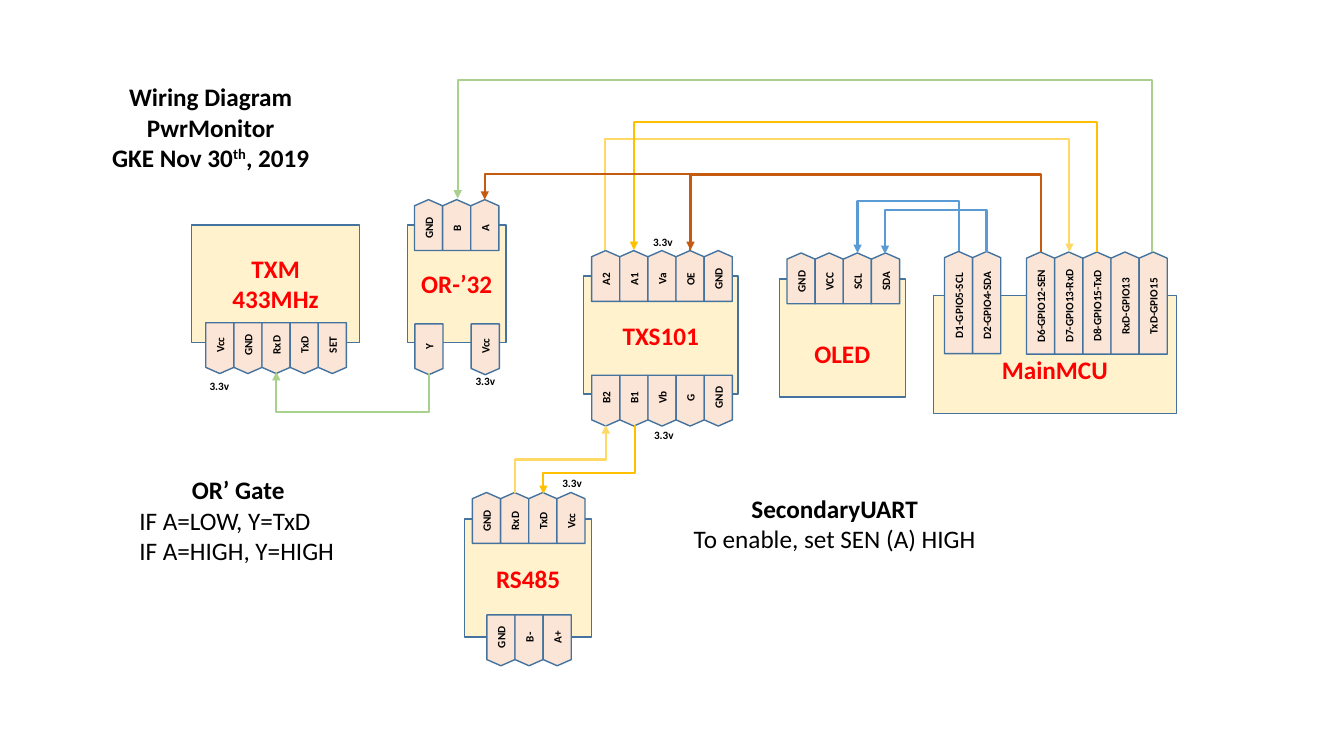
from dataclasses import dataclass

from lxml.etree import SubElement
from pptx import Presentation
from pptx.dml.color import RGBColor as Rgb
from pptx.enum.shapes import MSO_CONNECTOR as Link, MSO_SHAPE as Kind
from pptx.enum.text import MSO_ANCHOR as Anchor, MSO_AUTO_SIZE as Fit, PP_ALIGN as Align
from pptx.oxml.ns import qn
from pptx.util import Pt

EDGE, CREAM, PEACH, RED, BLACK = "43739E", "FFF2CC", "FBE5D6", "FF0000", "000000"
BLUE, GOLD, AMBER, RUST, GREEN = "5B9BD5", "FFD966", "FFC000", "C55A11", "A9D18E"
PITCH = 20.1
SIDES = {"c": Align.CENTER, "l": Align.LEFT}


@dataclass
class Board:
    """A module: its name, its place and the height its name is lowered by."""
    name: str
    x: float
    y: float
    wide: float
    drop: float = 0


@dataclass
class Row:
    """A row of pins, given by the centre of the first pin and the top."""
    x: float
    y: float
    pins: str
    up: bool = True
    tall: float = 36.3


@dataclass
class Wire:
    """A wire that runs up or down to a level, across, and back."""
    x1: float
    y1: float
    x2: float
    y2: float
    level: float
    hue: str
    end: str = "head"


@dataclass
class Note:
    """Free text; the first lines are bold, and ^ encloses superscript."""
    text: str
    x: float
    y: float
    wide: float
    tall: float
    size: float = 18
    bold: int = 1
    sides: str = "c"


BOARDS = [
    Board("MainMCU", 666.7, 211, 173.5, 22),
    Board("OLED", 556.6, 199.4, 90, 22),
    Board("TXS101", 416.9, 197.3, 110.2),
    Board("RS485", 331.9, 370.8, 90.7),
    Board("OR-’32", 290.9, 160.6, 70.6),
    Board("TXM\n433MHz", 136.8, 160.6, 120.2),
]
ROWS = [
    Row(684.7, 179.6, "D1-GPIO5-SCL D2-GPIO4-SDA", tall=73),
    Row(743.3, 180, "D6-GPIO12-SEN D7-GPIO13-RxD D8-GPIO15-TxD RxD-GPIO13 TxD-GPIO15", tall=73),
    Row(572.2, 180.7, "GND VCC SCL SDA"),
    Row(432.6, 179, "A2 A1 Va OE GND"),
    Row(432.7, 268, "B2 B1 Vb G GND", False),
    Row(347.5, 351.8, "GND RxD TxD Vcc"),
    Row(357.8, 439.2, "GND B- A+", False),
    Row(306.1, 142.6, "GND B A"),
    Row(306.4, 231.3, "Y _ Vcc", False),
    Row(157, 230.5, "Vcc GND RxD TxD SET", False),
]
WIRES = [
    Wire(612.5, 180.7, 684.7, 179.3, 143.3, BLUE),
    Wire(632.2, 181.4, 704.7, 180, 149.8, BLUE),
    Wire(432.3, 178.6, 763.9, 180, 98.6, GOLD, "tail"),
    Wire(452.8, 178.6, 783.4, 180, 86.4, AMBER),
    Wire(493.2, 178.6, 743.7, 180, 124.2, RUST),
    Wire(367.9, 352, 432.7, 303.8, 328.3, GOLD, "tail"),
    Wire(388.1, 352.8, 453.6, 303.8, 337.7, AMBER),
    Wire(326.9, 141.8, 823.1, 180, 56.9, GREEN),
    Wire(346.3, 142.6, 493.2, 178.6, 124.2, RUST),
    Wire(197.3, 265.7, 306.7, 266.4, 293.8, GREEN),
]
TITLE = Note("Wiring Diagram\nPwrMonitor\nGKE Nov 30^th^, 2019", 71.3, 54.7, 158.4, 72.7, bold=3)
NOTES = [
    Note("OR’ Gate\nIF A=LOW, Y=TxD\nIF A=HIGH, Y=HIGH", 92.4, 335.5, 155.5, 72.7, sides="cll"),
    Note("SecondaryUART\nTo enable, set SEN (A) HIGH", 487.1, 348.5, 218.2, 51.1),
] + [
    Note("3.3v", x, y, 28.8, 17.3, size=8, sides="l")
    for x, y in [(459.4, 164.9), (460.1, 302.4), (394.6, 337), (332.6, 264.2), (142.6, 267.1)]
]


def tint(code: str) -> Rgb:
    """Turn a hex string into a colour."""
    return Rgb.from_string(code)


def write(shape, text: str, size: float = 18, hue: str = BLACK, bold: int = 9,
          sides: str = "c", anchor=Anchor.MIDDLE) -> None:
    """Fill a shape with formatted lines."""
    frame = shape.text_frame
    frame.auto_size, frame.word_wrap = Fit.NONE, False
    frame.vertical_anchor = anchor
    for i, line in enumerate(text.split("\n")):
        para = frame.add_paragraph() if i else frame.paragraphs[0]
        para.alignment = SIDES[sides[min(i, len(sides) - 1)]]
        for j, part in enumerate(line.split("^")):
            run = para.add_run()
            run.text = part
            font = run.font
            font.name, font.size, font.bold = "Calibri", Pt(size), i < bold
            font.color.rgb = tint(hue)
            if j % 2:
                font._element.set("baseline", "30000")


def block(shapes, kind, x: float, y: float, wide: float, tall: float, hue: str):
    """Add a filled and outlined shape."""
    shape = shapes.add_shape(kind, Pt(x), Pt(y), Pt(wide), Pt(tall))
    shape.shadow.inherit = False
    shape.fill.solid()
    shape.fill.fore_color.rgb = tint(hue)
    shape.line.color.rgb = tint(EDGE)
    shape.line.width = Pt(1)
    return shape


def draw_board(shapes, board: Board) -> None:
    """Draw a module with its name."""
    shape = block(shapes, Kind.RECTANGLE, board.x, board.y, board.wide, 84.2, CREAM)
    shape.text_frame.margin_top = Pt(3.6 + board.drop)
    write(shape, board.name, hue=RED)


def draw_row(shapes, row: Row) -> None:
    """Draw a row of pins, leaving a gap for each underscore."""
    for i, name in enumerate(row.pins.split()):
        if name == "_":
            continue
        left = row.x + i * PITCH - row.tall / 2
        top = row.y + (row.tall - PITCH) / 2
        pin = block(shapes, Kind.RIGHT_ARROW, left, top, row.tall, PITCH, PEACH)
        pin.adjustments[0], pin.adjustments[1] = 1, 0.22
        pin.rotation = 270 if row.up else 90
        if not row.up:
            pin._element.spPr.xfrm.set("flipV", "1")
        frame = pin.text_frame
        frame.margin_left = frame.margin_right = frame.margin_top = frame.margin_bottom = 0
        write(pin, name, size=8)


def draw_wire(shapes, wire: Wire) -> None:
    """Draw an elbow turned so that it leaves its pin vertically."""
    rise = wire.y2 - wire.y1
    midx, midy = (wire.x1 + wire.x2) / 2, (wire.y1 + wire.y2) / 2
    dx, dy = abs(rise) / 2, (wire.x2 - wire.x1) / 2
    link = shapes.add_connector(Link.ELBOW, Pt(midx - dx), Pt(midy - dy),
                                Pt(midx + dx), Pt(midy + dy))
    props = link._element.spPr
    props.xfrm.set("rot", str((270 if rise > 0 else 90) * 60000))
    props.xfrm.set("flipH", "1")
    if rise < 0:
        props.xfrm.set("flipV", "1")
    bend = round((wire.level - wire.y1) / rise * 100000)
    guides = props.find(qn("a:prstGeom")).find(qn("a:avLst"))
    SubElement(guides, qn("a:gd"), name="adj1", fmla=f"val {bend}")
    link.line.color.rgb = tint(wire.hue)
    link.line.width = Pt(1.5)
    SubElement(props.find(qn("a:ln")), qn(f"a:{wire.end}End"), type="triangle")
    SubElement(props, qn("a:effectLst"))


def draw_note(shape, note: Note) -> None:
    """Place a text shape and write its note."""
    shape.left, shape.top = Pt(note.x), Pt(note.y)
    shape.width, shape.height = Pt(note.wide), Pt(note.tall)
    write(shape, note.text, size=note.size, bold=note.bold, sides=note.sides, anchor=Anchor.TOP)


def main() -> None:
    """Build and save the wiring diagram."""
    deck = Presentation()
    deck.slide_width, deck.slide_height = Pt(960), Pt(540)
    shapes = deck.slides.add_slide(deck.slide_layouts[5]).shapes
    draw_note(shapes.title, TITLE)
    for board in BOARDS:
        draw_board(shapes, board)
    for row in ROWS:
        draw_row(shapes, row)
    for wire in WIRES:
        draw_wire(shapes, wire)
    for note in NOTES:
        draw_note(shapes.add_textbox(0, 0, 0, 0), note)
    deck.save("out.pptx")


main()
